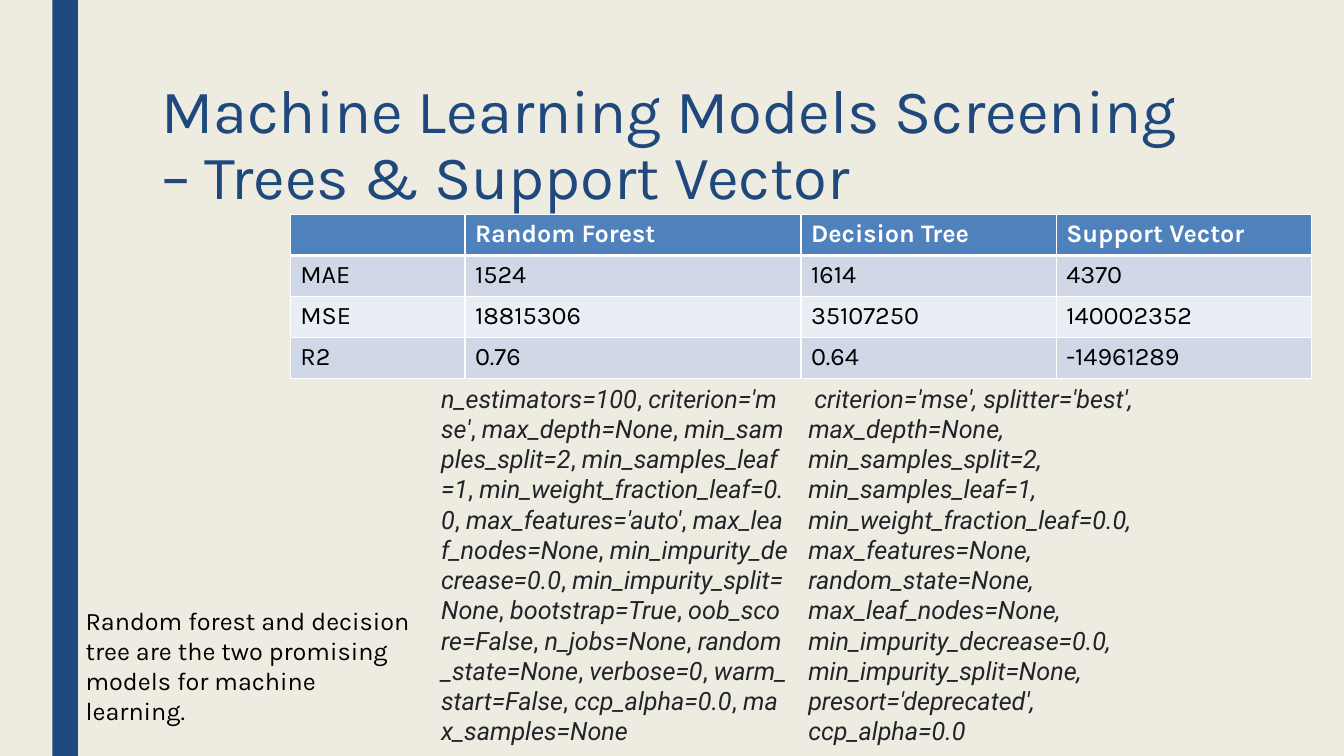
from lxml import etree
from pptx import Presentation, util as u
from pptx.dml import color
from pptx.enum import shapes, text
from pptx.oxml import ns

COLORS = {
    "background": "EEECE1", "navy": "1F497D", "header": "4F81BD",
    "odd": "D0D8E8", "even": "E9EDF4", "white": "FFFFFF",
    "black": "000000", "code": "212529",
}
WIDTH, HEIGHT = u.Inches(13.33), u.Inches(7.5)
SCORES = [
    ["", "Random Forest", "Decision Tree", "Support Vector"],
    ["MAE", "1524", "1614", "4370"],
    ["MSE", "18815306", "35107250", "140002352"],
    ["R2", "0.76", "0.64", "-14961289"],
]
MODEL_PERCENTS = [17.1, 32.9, 25, 25]
FOREST_SETTINGS = [
    "n_estimators=100", "criterion='mse'", "max_depth=None",
    "min_samples_split=2", "min_samples_leaf=1",
    "min_weight_fraction_leaf=0.0", "max_features='auto'",
    "max_leaf_nodes=None", "min_impurity_decrease=0.0",
    "min_impurity_split=None", "bootstrap=True", "oob_score=False",
    "n_jobs=None", "random_state=None", "verbose=0", "warm_start=False",
    "ccp_alpha=0.0", "max_samples=None",
]
TREE_SETTINGS = (
    " criterion='mse', splitter='best', max_depth=None, "
    "min_samples_split=2, min_samples_leaf=1, "
    "min_weight_fraction_leaf=0.0, max_features=None, random_state=None, "
    "max_leaf_nodes=None, min_impurity_decrease=0.0, "
    "min_impurity_split=None, presort='deprecated', ccp_alpha=0.0"
)


def rgb(name):
    """Return the named colour."""
    return color.RGBColor.from_string(COLORS[name])


def share(left, top, width, height):
    """Turn percentages of the slide into a box of lengths."""
    return [int(total * part / 100) for total, part in
            zip((WIDTH, HEIGHT) * 2, (left, top, width, height))]


def add_run(paragraph, words, ink, size=18, face="Karla", bold=False, italic=False):
    """Append one formatted run."""
    run = paragraph.add_run()
    run.text = words
    font = run.font
    font.name, font.size, font.bold, font.italic = face, u.Pt(size), bold, italic
    font.color.rgb = rgb(ink)


def add_paragraph_box(slide, box, grows=True):
    """Add a wrapping text box and return its paragraph."""
    frame = slide.shapes.add_textbox(*box).text_frame
    frame.word_wrap = True
    if grows:
        frame.auto_size = text.MSO_AUTO_SIZE.SHAPE_TO_FIT_TEXT
    return frame.paragraphs[0]


def add_stripe(slide, box):
    """Draw the vertical stripe at the left edge."""
    stripe = slide.shapes.add_shape(shapes.MSO_SHAPE.RECTANGLE, *box)
    stripe.shadow.inherit = False
    stripe.fill.solid()
    stripe.fill.fore_color.rgb = rgb("navy")
    stripe.line.fill.background()


def add_heading(slide, box):
    """Place the slide title."""
    heading = add_paragraph_box(slide, box, grows=False)
    heading.line_spacing = 0.89
    add_run(heading, "Machine Learning Models Screening – Trees & Support Vector",
            "navy", size=44)


def add_borders(cell, row):
    """Rule a cell in white, heavier beneath the header row."""
    heavy = {(0, "B"), (1, "T")}
    for side in "LRTB":
        points = 3 if (row, side) in heavy else 1
        line = etree.SubElement(cell._tc.get_or_add_tcPr(), ns.qn(f"a:ln{side}"),
                                w=str(u.Pt(points)))
        solid = etree.SubElement(line, ns.qn("a:solidFill"))
        etree.SubElement(solid, ns.qn("a:srgbClr"), val=COLORS["white"])


def add_scores(slide, box):
    """Build the table of model scores."""
    scores = slide.shapes.add_table(len(SCORES), len(SCORES[0]), *box).table
    for column, percent in zip(scores.columns, MODEL_PERCENTS):
        column.width = int(box[2] * percent / 100)
    for row, values in enumerate(SCORES):
        fill = "header" if row == 0 else "odd" if row % 2 else "even"
        ink = "black" if row else "white"
        for col, value in enumerate(values):
            cell = scores.cell(row, col)
            add_borders(cell, row)
            cell.fill.solid()
            cell.fill.fore_color.rgb = rgb(fill)
            if value:
                add_run(cell.text_frame.paragraphs[0], value, ink, bold=row == 0)


def add_forest_settings(slide, box):
    """List the random forest settings with upright commas."""
    settings = add_paragraph_box(slide, box)
    for index, setting in enumerate(FOREST_SETTINGS):
        if index:
            add_run(settings, ",\u00a0", "code", face="Roboto")
        add_run(settings, setting, "code", face="Roboto", italic=True)


def add_tree_settings(slide, box):
    """List the decision tree settings."""
    add_run(add_paragraph_box(slide, box), TREE_SETTINGS, "code",
            face="Roboto", italic=True)


def add_conclusion(slide, box):
    """Place the closing remark."""
    add_run(add_paragraph_box(slide, box),
            "Random forest and decision tree are the two promising models "
            "for machine learning. ", "black")


def main():
    """Assemble and save the slide."""
    deck = Presentation()
    deck.slide_width, deck.slide_height = WIDTH, HEIGHT
    slide = deck.slides.add_slide(deck.slide_layouts[6])
    slide.background.fill.solid()
    slide.background.fill.fore_color.rgb = rgb("background")
    add_stripe(slide, share(3.9, 0, 1.9, 100))
    add_heading(slide, share(11.25, 10.05, 78.75, 21.6))
    add_scores(slide, share(21.6, 28.4, 76, 21.65))
    add_forest_settings(slide, share(32.08, 50, 27.3, 45.7))
    add_tree_settings(slide, share(59.4, 50, 26.4, 49.9))
    add_conclusion(slide, share(5.63, 79.36, 26.4, 13.5))
    deck.save("out.pptx")


main()
